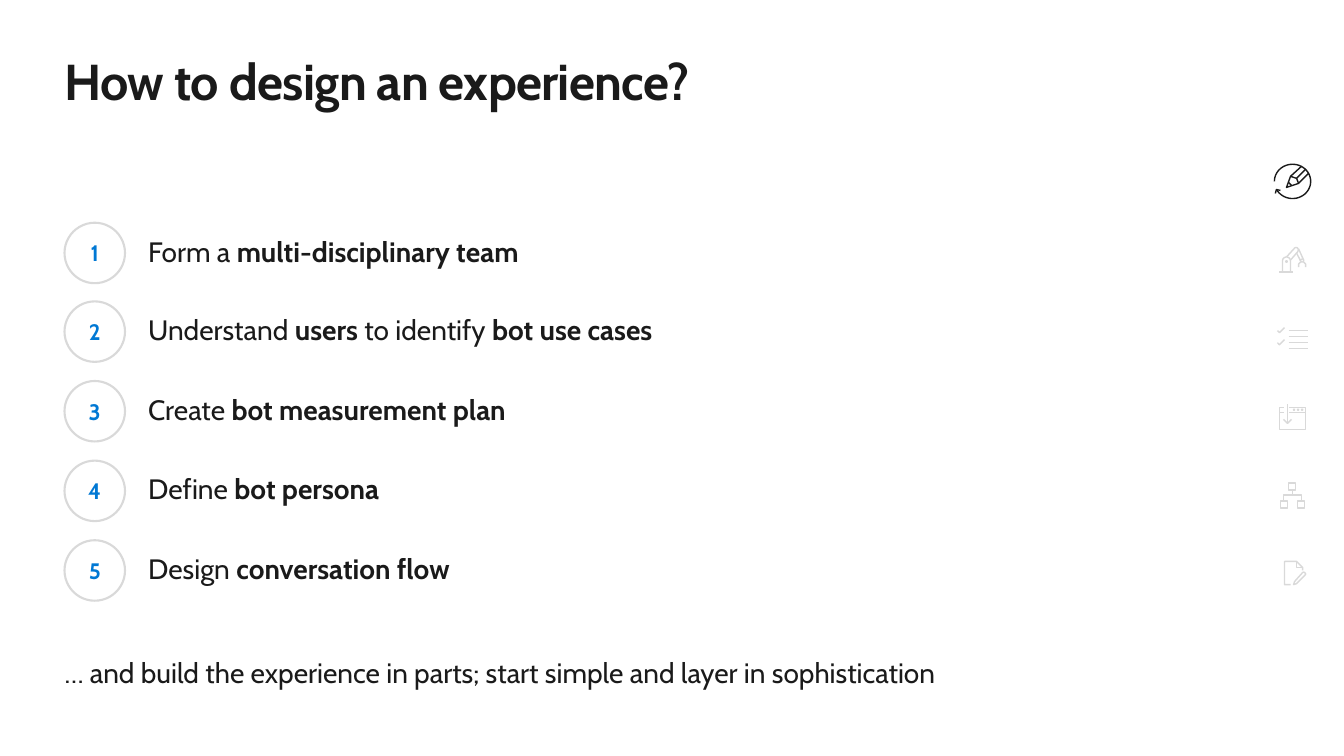
from dataclasses import dataclass
from math import cos, radians, sin

from pptx import Presentation
from pptx.dml.color import RGBColor
from pptx.enum.shapes import MSO_SHAPE
from pptx.enum.text import MSO_ANCHOR, MSO_AUTO_SIZE, PP_ALIGN
from pptx.util import Pt

EMU_PER_PX = 9144  # 100 px to the inch


@dataclass(frozen=True)
class Theme:
    font: str = "Cabin"
    ink: RGBColor = RGBColor(0x1A, 0x1A, 0x1A)
    accent: RGBColor = RGBColor(0x00, 0x78, 0xD4)
    muted: RGBColor = RGBColor(0xD9, 0xD9, 0xD9)
    paper: RGBColor = RGBColor(0xFF, 0xFF, 0xFF)
    title_size: int = 36
    body_size: int = 20
    number_size: int = 16


def px(length):
    return round(length * EMU_PER_PX)


def arc(cx, cy, rx, ry, start, end, steps=12):
    """Points along an ellipse; angles in degrees, clockwise from the right."""
    angles = [radians(start + (end - start) * i / steps) for i in range(steps + 1)]
    return [(cx + rx * cos(a), cy + ry * sin(a)) for a in angles]


def box(left, top, width, height):
    right, bottom = left + width, top + height
    return [(left, top), (right, top), (right, bottom), (left, bottom), (left, top)]


class SlideBuilder:
    def __init__(self, slide, theme):
        self.shapes = slide.shapes
        self.theme = theme

    def style(self, paragraph, size, color, bold=None):
        font = paragraph.font
        font.name, font.size, font.bold = self.theme.font, Pt(size), bold
        font.color.rgb = color

    def text(self, left, top, width, height, marked, size, bold=None,
             spacing=None, anchor=MSO_ANCHOR.TOP, tracking=None):
        """Words between asterisks become bold."""
        frame = self.shapes.add_textbox(px(left), px(top), px(width), px(height)).text_frame
        frame.word_wrap = True
        frame.auto_size = MSO_AUTO_SIZE.SHAPE_TO_FIT_TEXT
        frame.vertical_anchor = anchor
        frame.margin_left = frame.margin_right = frame.margin_top = frame.margin_bottom = 0
        paragraph = frame.paragraphs[0]
        paragraph.line_spacing = spacing
        self.style(paragraph, size, self.theme.ink, bold)
        for index, words in enumerate(marked.split("*")):
            if not words:
                continue
            run = paragraph.add_run()
            run.text = words
            if index % 2:
                run.font.bold = True
            if tracking:
                run.font._element.set("spc", str(tracking))

    def badge(self, left, top, size, number):
        circle = self.shapes.add_shape(MSO_SHAPE.OVAL, px(left), px(top), px(size), px(size))
        circle.shadow.inherit = False
        circle.fill.solid()
        circle.fill.fore_color.rgb = self.theme.paper
        circle.line.color.rgb = self.theme.muted
        circle.line.width = Pt(1.5)
        circle.text_frame.vertical_anchor = MSO_ANCHOR.MIDDLE
        paragraph = circle.text_frame.paragraphs[0]
        paragraph.text = str(number)
        paragraph.alignment = PP_ALIGN.CENTER
        self.style(paragraph, self.theme.number_size, self.theme.accent, True)

    def icon(self, strokes, color):
        points = [[(px(x), px(y)) for x, y in stroke] for stroke in strokes]
        outline = self.shapes.build_freeform(*points[0][0], scale=1.0)
        for index, (first, *rest) in enumerate(points):
            if index:
                outline.move_to(*first)
            outline.add_line_segments(rest, close=False)
        drawing = outline.convert_to_shape()
        drawing.shadow.inherit = False
        drawing.fill.background()
        drawing.line.color.rgb = color
        drawing.line.width = Pt(1)


STEPS = [
    "Form a *multi-disciplinary team*",
    "Understand *users *to identify *bot use cases*",
    "Create *bot measurement plan*",
    "Define *bot persona*",
    "Design *conversation flow*",
]

# Icon strokes, in px on the slide
DESIGN = [
    arc(1282, 180, 18, 17, 180, 512, 48),
    [(1270, 189), (1266, 188), (1265, 192)],
    [(1291, 165), (1280, 175), (1276, 186), (1288, 182), (1298, 172)],
    [(1280, 175), (1286, 177), (1295, 168)],
    [(1288, 182), (1286, 177)],
    [(1278, 181), (1281, 184)],
]
ROBOT_ARM = [
    [(1293, 260), (1295, 262), (1295, 265)],
    [(1290, 260), (1288, 262), (1288, 265)],
    [(1272, 270), *arc(1276, 259, 4, 4, 180, 360), (1280, 270), (1272, 270)],
    [(1269, 270), (1282, 270)],
    arc(1276, 259.5, 0.7, 0.7, 0, 360),
    [(1289, 258), (1292, 257)],
    [(1280, 258), (1287, 250), *arc(1285.5, 248, 2.2, 2.4, 40, -130), (1276, 255)],
    [(1290, 259), (1291, 260), (1292, 260), (1293, 259), (1293, 258), (1288, 247)],
    [(1290, 259), (1286, 251)],
]
CHECKLIST = [[(1278, y), (1297, y)] for y in range(328, 347, 6)] + [
    [(1267, y), (1269, y + 2), (1274, y - 3)] for y in (328, 340)
]
BROWSER = [
    [(1279, 404), (1295, 404), (1295, 426), (1269, 426), (1269, 404), (1274, 404)],
    [(1279, 409), (1295, 409)],
    [(1269, 409), (1274, 409)],
    *[arc(x, 406.5, 0.5, 0.5, 0, 360) for x in (1283.5, 1287.5, 1291.5)],
    [(1273, 416), (1277, 420), (1281, 416)],
    [(1277, 401), (1277, 420)],
]
HIERARCHY = [
    *[box(left, top, 7, 7) for left, top in ((1270, 497), (1287, 497), (1278, 479))],
    [(1282, 486), (1282, 491)],
    [(1291, 497), (1291, 491), (1273, 491), (1273, 497)],
]
EDIT_PAGE = [
    [(1292, 563), (1286, 563), (1286, 557)],
    [(1292, 566), (1292, 563), (1286, 557), (1274, 557), (1274, 580), (1280, 580)],
    [(1283, 580), (1286, 579), (1294, 571), (1295, 569.5), (1294, 568),
     (1293, 567.6), (1292, 568), (1284, 577), (1283, 580)],
]


def main():
    deck = Presentation()
    deck.slide_width, deck.slide_height = px(1333), px(750)
    theme = Theme()
    page = SlideBuilder(deck.slides.add_slide(deck.slide_layouts[6]), theme)

    # Title
    page.text(64, 50, 1205, 61, "How to design an experience?", theme.title_size,
              bold=True, tracking=-50)

    # Numbered steps, evenly spread between the first and last
    first_top, span = 221, 315
    for index, step in enumerate(STEPS):
        top = first_top + span * index // (len(STEPS) - 1)
        page.text(147, top + 15, 797, 30, step, theme.body_size,
                  spacing=0.9, anchor=MSO_ANCHOR.MIDDLE)
        page.badge(64, top, 60, index + 1)

    # Progress icons, the current stage in ink
    page.icon(DESIGN, theme.ink)
    for stage in (ROBOT_ARM, CHECKLIST, BROWSER, HIERARCHY, EDIT_PAGE):
        page.icon(stage, theme.muted)

    # Closing remark
    page.text(64, 654, 999, 30,
              "… and build the experience in parts; start simple and layer in sophistication",
              theme.body_size, spacing=0.9)

    deck.save("out.pptx")


if __name__ == "__main__":
    main()
